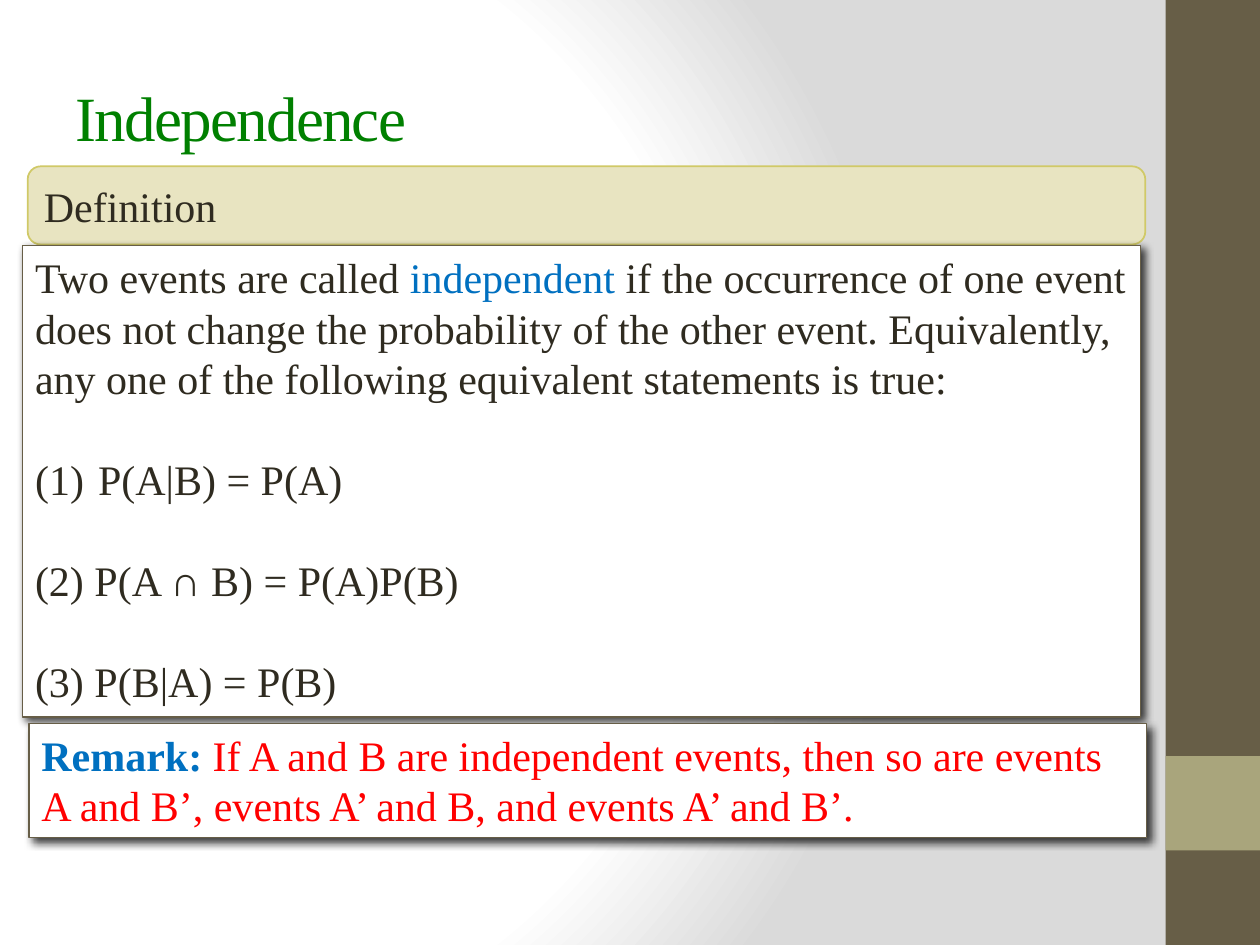
"""Build the slide that defines independent events."""
from dataclasses import dataclass

from lxml.etree import SubElement
from pptx import Presentation
from pptx.dml.color import RGBColor
from pptx.enum.shapes import MSO_SHAPE as Preset
from pptx.enum.text import MSO_ANCHOR as Anchor, PP_ALIGN as Align
from pptx.oxml import parse_xml
from pptx.oxml.ns import nsdecls, qn
from pptx.shapes.autoshape import Shape
from pptx.slide import Slide
from pptx.util import Inches, Pt

FONT = "Times New Roman"
INK, BLUE, RED, GREEN = "2F2B20", "0070C0", "FF0000", "008000"
BROWN, OLIVE, WHITE = "675E47", "A9A57C", "FFFFFF"
TEXT_SIZE, LINE_PITCH = 24, 28.8


@dataclass
class Span:
    text: str
    color: str = INK
    bold: bool = False
    italic: bool = False


@dataclass
class Line:
    spans: list[Span]
    hanging: float = 0
    numbered: bool = False
    gap_before: bool = False


@dataclass
class Panel:
    left: float
    top: float
    width: float
    height: float
    fill: str
    line: str | None = None
    line_width: float = 0.75
    preset: Preset = Preset.RECTANGLE
    shadow: bool = False


def rgb(value: str) -> RGBColor:
    return RGBColor.from_string(value)


def set_background(slide: Slide) -> None:
    stops = "".join(
        f'<a:gs pos="{position * 1000}"><a:srgbClr val="{color}"/></a:gs>'
        for position, color in ((0, WHITE), (75, WHITE), (100, "DADADA"))
    )
    slide.background.fill.solid()
    properties = slide.element.cSld.find(qn("p:bg")).find(qn("p:bgPr"))
    gradient = parse_xml(
        f'<a:gradFill {nsdecls("a")} rotWithShape="1"><a:gsLst>{stops}</a:gsLst>'
        '<a:path path="circle"><a:fillToRect l="20000" t="50000" r="100000" b="50000"/>'
        "</a:path></a:gradFill>"
    )
    properties.replace(properties.find(qn("a:solidFill")), gradient)


def add_shadow(shape: Shape) -> None:
    effects = shape.element.spPr.find(qn("a:effectLst"))
    outer = SubElement(effects, qn("a:outerShdw"), blurRad=str(Pt(5)), dist=str(Pt(3)),
                       dir=str(45 * 60000), algn="tl", rotWithShape="0")
    color = SubElement(outer, qn("a:srgbClr"), val="000000")
    SubElement(color, qn("a:alpha"), val="75000")


def add_panel(slide: Slide, panel: Panel) -> Shape:
    shape = slide.shapes.add_shape(
        panel.preset, Inches(panel.left), Inches(panel.top),
        Inches(panel.width), Inches(panel.height))
    shape.shadow.inherit = False
    shape.fill.solid()
    shape.fill.fore_color.rgb = rgb(panel.fill)
    if panel.line:
        shape.line.color.rgb = rgb(panel.line)
        shape.line.width = Pt(panel.line_width)
    else:
        shape.line.fill.background()
    if panel.shadow:
        add_shadow(shape)
    return shape


def write_lines(shape: Shape, lines: list[Line], anchor: Anchor = Anchor.TOP) -> None:
    frame = shape.text_frame
    frame.word_wrap = True
    frame.vertical_anchor = anchor
    frame.text = "\n".join("" for _ in lines)
    for paragraph, line in zip(frame.paragraphs, lines):
        paragraph.alignment = Align.LEFT
        paragraph.line_spacing = Pt(LINE_PITCH)
        if line.gap_before:
            paragraph.space_before = Pt(LINE_PITCH)
        properties = paragraph._p.get_or_add_pPr()
        if line.hanging:
            properties.set("marL", str(Inches(line.hanging)))
            properties.set("indent", str(-Inches(line.hanging)))
        if line.numbered:
            SubElement(properties, qn("a:buFont"), typeface=FONT)
            SubElement(properties, qn("a:buAutoNum"), type="arabicParenBoth")
        for span in line.spans:
            run = paragraph.add_run()
            run.text = span.text
            run.font.name = FONT
            run.font.size = Pt(TEXT_SIZE)
            run.font.bold = span.bold
            run.font.italic = span.italic
            run.font.color.rgb = rgb(span.color)


def set_title(slide: Slide, text: str) -> None:
    title = slide.shapes.title
    title.left, title.top = Inches(0.5), Inches(0.3)
    title.width, title.height = Inches(8.33), Inches(1.25)
    title.text_frame.text = text
    title.text_frame.vertical_anchor = Anchor.MIDDLE
    paragraph = title.text_frame.paragraphs[0]
    paragraph.alignment = Align.LEFT
    run = paragraph.runs[0]
    run.font.name = FONT
    run.font.size = Pt(36)
    run.font.color.rgb = rgb(GREEN)
    run._r.get_or_add_rPr().set("spc", "-100")


def main() -> None:
    presentation = Presentation()
    presentation.slide_width, presentation.slide_height = Inches(10), Inches(7.5)
    slide = presentation.slides.add_slide(presentation.slide_layouts[5])
    set_background(slide)
    add_panel(slide, Panel(9.25, 0, 0.75, 7.5, BROWN))
    add_panel(slide, Panel(9.25, 6, 0.75, 0.75, OLIVE))
    set_title(slide, "Independence")

    heading = add_panel(slide, Panel(0.22, 1.32, 8.87, 0.62, "E8E4C1", "D0C967", 1,
                                     Preset.ROUNDED_RECTANGLE))
    write_lines(heading, [Line([Span("Definition")])], Anchor.MIDDLE)

    definition = add_panel(slide, Panel(0.18, 1.95, 8.87, 3.74, WHITE, BROWN, shadow=True))
    write_lines(definition, [
        Line([Span("Two events are called "), Span("independent", BLUE),
              Span(" if the occurrence of one event")], 0.38),
        Line([Span("does not change the probability of the other event. Equivalently,")], 0.38),
        Line([Span("any one of the following equivalent statements is true:")], 0.38),
        Line([Span("P(A|B) = P(A)")], 0.5, numbered=True, gap_before=True),
        Line([Span("(2) P(A "), Span("∩", italic=True), Span(" B) = P(A)P(B)")],
             0.38, gap_before=True),
        Line([Span("(3) P(B|A) = P(B)")], 0.38, gap_before=True),
    ])

    remark = add_panel(slide, Panel(0.23, 5.74, 8.87, 0.91, WHITE, BROWN, shadow=True))
    write_lines(remark, [Line([
        Span("Remark:", BLUE, bold=True),
        Span(" If A and B are independent events, then so are events A and B’, "
             "events A’ and B, and events A’ and B’.", RED),
    ])])
    presentation.save("out.pptx")


if __name__ == "__main__":
    main()
